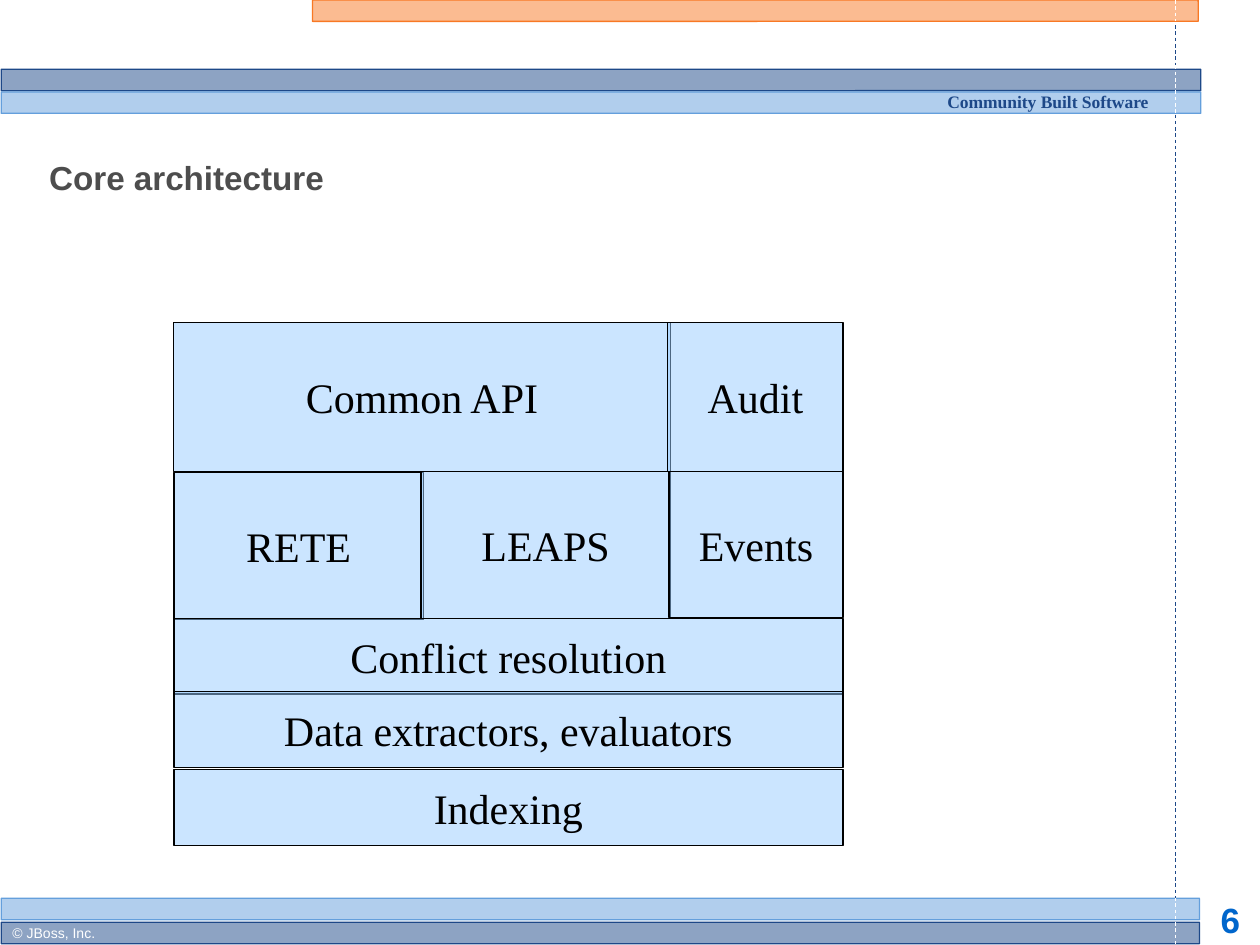
import dataclasses

import lxml.etree
import pptx
import pptx.dml.color
import pptx.enum.dml
import pptx.enum.shapes
import pptx.enum.text
import pptx.oxml.ns
import pptx.util

RGB = pptx.dml.color.RGBColor
NAVY = RGB(0x1D, 0x48, 0x88)
BLUE = RGB(0x64, 0x9F, 0xDC)
ORANGE = RGB(0xF8, 0x78, 0x24)
SKY = RGB(0x99, 0xCC, 0xFF)
PAGE = RGB(0x00, 0x66, 0xCC)
GRAY = RGB(0x4D, 0x4D, 0x4D)
WHITE = RGB(0xFF, 0xFF, 0xFF)
BLACK = RGB(0x00, 0x00, 0x00)

SCALE = 9144
SANS = "Arial"
SERIF = "Times New Roman"
KIND = pptx.enum.shapes.MSO_SHAPE
ALIGN = pptx.enum.text.PP_ALIGN
ANCHOR = pptx.enum.text.MSO_ANCHOR
RULE = 933
LEFT = 138
WIDE = 531


@dataclasses.dataclass(frozen=True)
class Box:
    x: int
    y: int
    w: int
    h: int

    def emu(self) -> tuple[int, ...]:
        return tuple(n * SCALE for n in (self.x, self.y, self.w, self.h))


@dataclasses.dataclass(frozen=True)
class Bar:
    box: Box
    color: RGB


@dataclasses.dataclass(frozen=True)
class Dash:
    top: int
    end: int
    color: RGB


@dataclasses.dataclass(frozen=True)
class Block:
    text: str
    box: Box


LOW_BARS = (
    Bar(Box(1, 55, 952, 17), NAVY),
    Bar(Box(1, 73, 952, 17), BLUE),
    Bar(Box(1, 713, 951, 17), BLUE),
    Bar(Box(1, 732, 951, 17), NAVY),
)
TOP_BAR = Bar(Box(248, 0, 703, 17), ORANGE)
DASHES = (
    Dash(712, 749, WHITE),
    Dash(52, 91, WHITE),
    Dash(91, 713, NAVY),
    Dash(0, 17, WHITE),
    Dash(20, 52, NAVY),
)
BLOCKS = (
    Block("RETE", Box(LEFT, 375, 198, 117)),
    Block("LEAPS", Box(334, 374, 198, 117)),
    Block("Common API", Box(LEFT, 256, 394, 118)),
    Block("Events", Box(531, 374, 138, 116)),
    Block("Conflict resolution", Box(LEFT, 491, WIDE, 60)),
    Block("Data extractors, evaluators", Box(LEFT, 549, WIDE, 60)),
    Block("Audit", Box(530, 256, 139, 118)),
    Block("Indexing", Box(LEFT, 611, WIDE, 60)),
)


def write(shape, text: str, *, size: int, font: str, color: RGB,
          bold: bool = False, align=ALIGN.LEFT, anchor=ANCHOR.TOP,
          space: float = 1.0, inset: tuple[int, int] = (10, 5),
          wrap: bool = True) -> None:
    frame = shape.text_frame
    frame.word_wrap = wrap
    frame.vertical_anchor = anchor
    frame.margin_left = frame.margin_right = inset[0] * SCALE
    frame.margin_top = frame.margin_bottom = inset[1] * SCALE
    para = frame.paragraphs[0]
    para.alignment = align
    para.line_spacing = space
    run = para.add_run()
    run.text = text
    run.font.size = pptx.util.Pt(size)
    run.font.name = font
    run.font.bold = bold
    run.font.color.rgb = color


def panel(slide, kind, box: Box, fill: RGB, line: RGB, width: float):
    shape = slide.shapes.add_shape(kind, *box.emu())
    shape.shadow.inherit = False
    shape.fill.solid()
    shape.fill.fore_color.rgb = fill
    tone = shape.fill._xPr.find(".//" + pptx.oxml.ns.qn("a:srgbClr"))
    lxml.etree.SubElement(tone, pptx.oxml.ns.qn("a:alpha"), val="50000")
    shape.line.color.rgb = line
    shape.line.width = pptx.util.Pt(width)
    return shape


def draw_bar(slide, bar: Bar) -> None:
    shape = panel(slide, KIND.ROUNDED_RECTANGLE, bar.box, bar.color, bar.color, 0.75)
    shape.adjustments[0] = 0.01


def draw_dash(slide, dash: Dash) -> None:
    line = slide.shapes.add_connector(
        pptx.enum.shapes.MSO_CONNECTOR.STRAIGHT,
        RULE * SCALE, dash.top * SCALE, RULE * SCALE, dash.end * SCALE)
    line.line.color.rgb = dash.color
    line.line.width = pptx.util.Pt(0.5)
    line.line.dash_style = pptx.enum.dml.MSO_LINE.DASH
    lxml.etree.SubElement(line._element.spPr, pptx.oxml.ns.qn("a:effectLst"))


def draw_block(slide, block: Block) -> None:
    shape = panel(slide, KIND.RECTANGLE, block.box, SKY, BLACK, 0)
    write(shape, block.text, size=24, font=SERIF, color=BLACK,
          align=ALIGN.CENTER, anchor=ANCHOR.MIDDLE)


def label(slide, text: str, box: Box, **style) -> None:
    write(slide.shapes.add_textbox(*box.emu()), text, wrap=False, **style)


def main() -> None:
    deck = pptx.Presentation()
    deck.slide_width = 1000 * SCALE
    deck.slide_height = 750 * SCALE
    slide = deck.slides.add_slide(deck.slide_layouts[5])

    title = slide.shapes.title
    title.left, title.top, title.width, title.height = Box(39, 86, 858, 110).emu()
    write(title, "Core architecture", size=19, font=SANS, color=GRAY,
          bold=True, anchor=ANCHOR.MIDDLE, inset=(0, 0))

    for bar in (*LOW_BARS, TOP_BAR):
        draw_bar(slide, bar)
    for dash in DASHES:
        draw_dash(slide, dash)

    label(slide, "© JBoss, Inc.", Box(0, 731, 86, 21),
          size=8, font=SANS, color=WHITE, space=0.84)
    label(slide, "6", Box(909, 716, 135, 29), size=20, font=SANS, color=PAGE,
          bold=True, align=ALIGN.CENTER, space=0.93, inset=(0, 0))
    label(slide, "Community Built Software", Box(742, 70, 186, 23),
          size=10, font=SERIF, color=NAVY, bold=True, space=0.86)

    for block in BLOCKS:
        draw_block(slide, block)

    deck.save("out.pptx")


if __name__ == "__main__":
    main()
